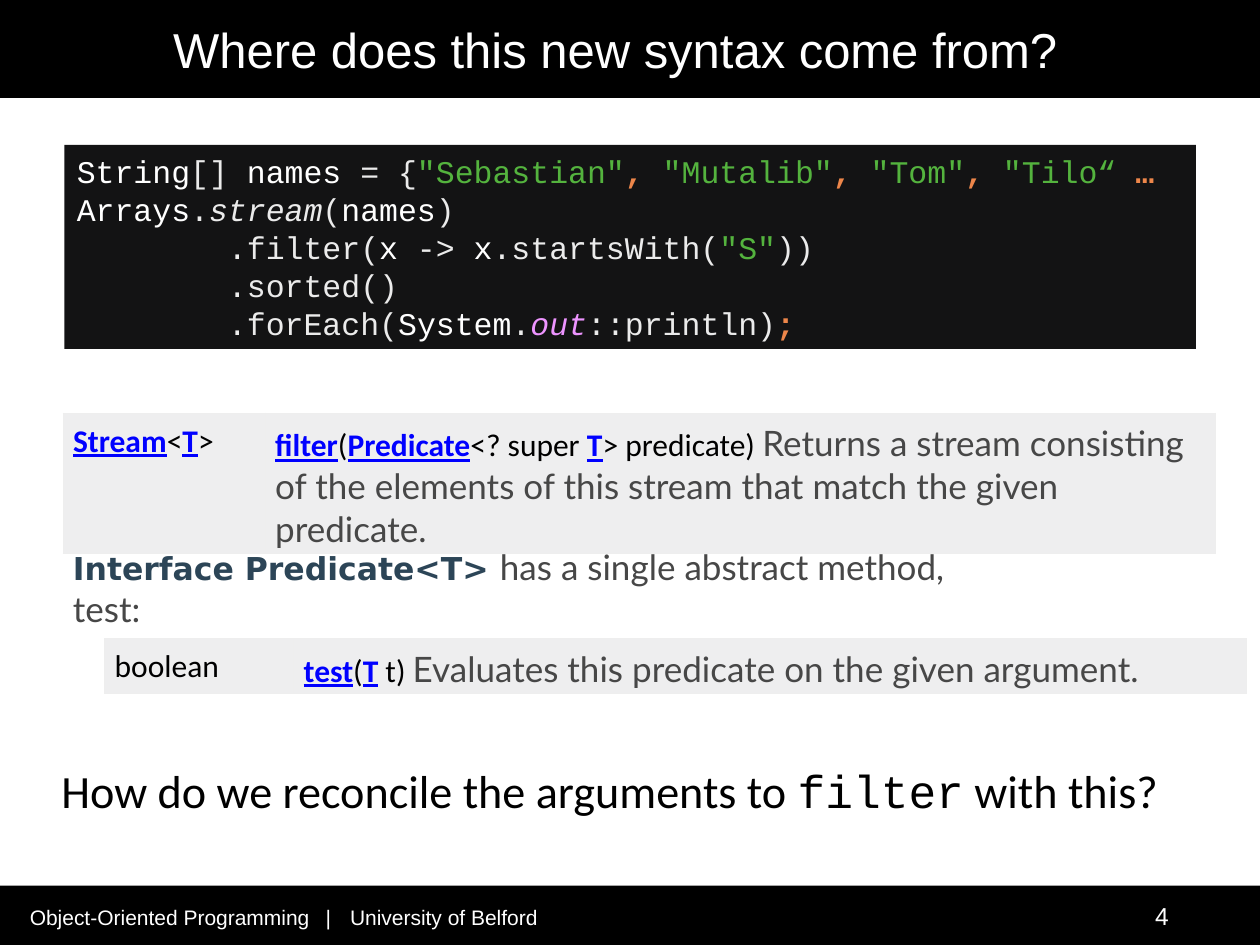
from lxml import etree
from pptx import Presentation
from pptx import util as u
from pptx.dml.color import RGBColor
from pptx.enum import shapes, text
from pptx.oxml import ns

Pt = u.Pt
WIDTH, HEIGHT = 720, 540
BLACK, WHITE, GREY = "000000", "FFFFFF", "474747"
PLAIN, GREEN, ORANGE, PINK = "EBEBEB", "54B33E", "ED864A", "ED94FF"
ROW_FILL, ROW_BORDER = "EEEEEF", "EEEEEE"

# Run styles: (font, size, colour, further font attributes)
CODE = ("Courier New", 18, PLAIN, {})
NAME = ("Courier New", 18, WHITE, {})
STRING = ("Courier New", 18, GREEN, {})
MARK = ("Courier New", 18, ORANGE, {"bold": True})
METHOD = ("Courier New", 18, PLAIN, {"italic": True})
FIELD = ("Courier New", 18, PINK, {"italic": True})
LINK = ("Calibri", 18, "0000FF", {"bold": True, "underline": True})
SIGNATURE = ("Calibri", 18, BLACK, {})
PROSE = ("Lato", 20, GREY, {})
HEADING = ("DejaVu Sans", 18, "2C4557", {"bold": True})
QUESTION = ("Calibri", 26.4, BLACK, {})
QUESTION_CODE = ("Courier New", 26.4, BLACK, {})
TITLE = ("Arial", 28, WHITE, {})
FOOTER = ("Arial", 12, WHITE, {})
PAGE = ("Arial", 14, WHITE, {})

CODE_INDENT = 86.4  # eight characters
CODE_LINES = [
    (0, [("String", NAME), ("[] ", CODE), ("names ", NAME), ("= {", CODE),
         ('"Sebastian"', STRING), (", ", MARK), ('"Mutalib"', STRING), (", ", MARK),
         ('"Tom"', STRING), (", ", MARK), ('"Tilo“', STRING), (" …", MARK)]),
    (0, [("Arrays", NAME), (".", CODE), ("stream", METHOD), ("(", CODE),
         ("names", NAME), (")", CODE)]),
    (CODE_INDENT, [(".filter(", CODE), ("x ", NAME), ("-> ", CODE), ("x", NAME),
                   (".startsWith(", CODE), ('"S"', STRING), ("))", CODE)]),
    (CODE_INDENT, [(".sorted()", CODE)]),
    (CODE_INDENT, [(".forEach(", CODE), ("System", NAME), (".", CODE), ("out", FIELD),
                   ("::println)", CODE), (";", MARK)]),
]
FILTER_ROW = [
    [("Stream", LINK), ("<", SIGNATURE), ("T", LINK), (">", SIGNATURE)],
    [("filter", LINK), ("(", SIGNATURE), ("Predicate", LINK), ("<? super ", SIGNATURE),
     ("T", LINK), ("> predicate) ", SIGNATURE),
     ("Returns a stream consisting of the elements of this stream "
      "that match the given predicate.", PROSE)],
]
TEST_ROW = [
    [("boolean", SIGNATURE)],
    [("test", LINK), ("(", SIGNATURE), ("T", LINK), (" t) ", SIGNATURE),
     ("Evaluates this predicate on the given argument.", PROSE)],
]


def color(value):
    return RGBColor.from_string(value)


def write(paragraph, runs):
    for words, (font_name, size, font_color, attributes) in runs:
        run = paragraph.add_run()
        run.text = words
        run.font.name, run.font.size = font_name, Pt(size)
        run.font.color.rgb = color(font_color)
        for attribute, value in attributes.items():
            setattr(run.font, attribute, value)


def add_panel(slide, box, fill):
    panel = slide.shapes.add_shape(shapes.MSO_SHAPE.RECTANGLE, *map(Pt, box))
    panel.shadow.inherit = False
    panel.fill.solid()
    panel.fill.fore_color.rgb = color(fill)
    panel.line.fill.background()
    return panel


def add_text(slide, box, runs):
    text_box = slide.shapes.add_textbox(*map(Pt, box))
    text_box.text_frame.word_wrap = True
    write(text_box.text_frame.paragraphs[0], runs)
    return text_box.text_frame


def add_title(slide, box, words):
    left, top, width, height = box
    add_panel(slide, box, BLACK)
    title = slide.shapes.title
    title.left, title.top = Pt(left + 16.5), Pt(top)
    title.width, title.height = Pt(width - 50), Pt(height)
    title.text_frame.vertical_anchor = text.MSO_ANCHOR.MIDDLE
    paragraph = title.text_frame.paragraphs[0]
    paragraph.alignment = text.PP_ALIGN.CENTER
    write(paragraph, [(words, TITLE)])
    slide.shapes._spTree.append(title._element)  # in front of its band


def add_footer(slide, box):
    left, top, width, height = box
    add_panel(slide, box, BLACK)
    frame = add_text(slide, (left + 17, top + 4, width - 34, height - 8),
                     [("Object-Oriented Programming\t|\tUniversity of Belford\t", FOOTER),
                      ("4", PAGE)])
    frame.margin_left = frame.margin_right = 0
    frame.margin_top = frame.margin_bottom = 0
    frame.vertical_anchor = text.MSO_ANCHOR.MIDDLE
    properties = frame.paragraphs[0]._p.get_or_add_pPr()
    tabs = etree.SubElement(properties, ns.qn("a:tabLst"))
    for position in (169, 183, 643):
        etree.SubElement(tabs, ns.qn("a:tab"), pos=str(Pt(position)), algn="l")


def add_code(slide, box, lines):
    frame = add_panel(slide, box, "131314").text_frame
    frame.word_wrap = True
    frame.vertical_anchor = text.MSO_ANCHOR.MIDDLE
    for index, (indent, runs) in enumerate(lines):
        paragraph = frame.add_paragraph() if index else frame.paragraphs[0]
        paragraph.alignment = text.PP_ALIGN.LEFT
        paragraph._p.get_or_add_pPr().set("marL", str(Pt(indent)))
        write(paragraph, runs)


def set_borders(cell):
    properties = cell._tc.get_or_add_tcPr()
    for index, side in enumerate(("lnL", "lnR", "lnT", "lnB")):
        line = etree.Element(ns.qn(f"a:{side}"), w=str(Pt(0.6)))
        fill = etree.SubElement(line, ns.qn("a:solidFill"))
        etree.SubElement(fill, ns.qn("a:srgbClr"), val=ROW_BORDER)
        properties.insert(index, line)


def add_method_row(slide, box, first_width, cells):
    """Add a one-row table: return type, then signature and description."""
    table = slide.shapes.add_table(1, 2, *map(Pt, box)).table
    table.first_row = table.horz_banding = False
    for column, width in zip(table.columns, (first_width, box[2] - first_width)):
        column.width = Pt(width)
    for cell, runs in zip(table.rows[0].cells, cells):
        cell.margin_left, cell.margin_top = Pt(5.76), Pt(5)
        cell.margin_right = cell.margin_bottom = Pt(2.2)
        cell.fill.solid()
        cell.fill.fore_color.rgb = color(ROW_FILL)
        set_borders(cell)
        write(cell.text_frame.paragraphs[0], runs)


def main():
    presentation = Presentation()
    presentation.slide_width, presentation.slide_height = Pt(WIDTH), Pt(HEIGHT)
    slide = presentation.slides.add_slide(presentation.slide_layouts[5])
    add_title(slide, (0, 0, WIDTH, 56), "Where does this new syntax come from?")
    add_code(slide, (36.8, 82.8, 646.6, 116.6), CODE_LINES)
    add_method_row(slide, (36, 236.2, 658.5, 78), 115.5, FILTER_ROW)
    add_text(slide, (34.6, 308.2, 544.3, 56),
             [("Interface Predicate<T> ", HEADING),
              ("has a single abstract method, test:", PROSE)])
    add_method_row(slide, (59.8, 365, 652.3, 31), 108, TEST_ROW)
    add_text(slide, (28, 432, 648, 50),
             [("How do we reconcile the arguments to ", QUESTION),
              ("filter", QUESTION_CODE), (" with this?", QUESTION)])
    add_footer(slide, (0, 506, WIDTH, 34))
    presentation.save("out.pptx")


if __name__ == "__main__":
    main()
